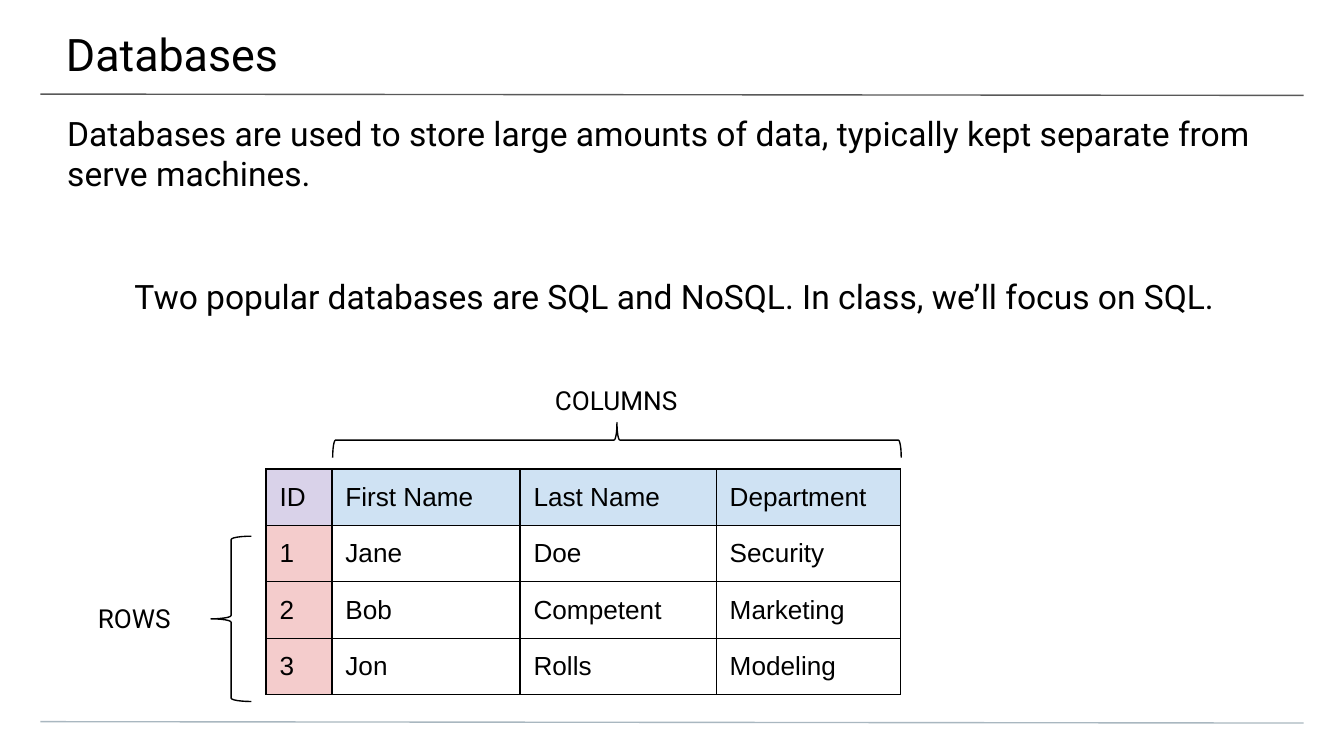
"""Build the Databases slide on a grid of tenth-inch columns and rows."""
from dataclasses import dataclass

from lxml.etree import SubElement as Sub
from pptx import Presentation
from pptx.dml.color import RGBColor as Rgb
from pptx.enum.shapes import MSO_CONNECTOR as Conn, MSO_SHAPE as Form
from pptx.enum.text import MSO_ANCHOR as Anchor, MSO_AUTO_SIZE as Fit, PP_ALIGN as Align
from pptx.oxml import parse_xml
from pptx.oxml.ns import nsdecls, qn
from pptx.util import Inches, Pt

INK = {"text": "000000", "rule": "595959", "foot": "A9B7C0",
       "key": "D9D2E9", "head": "CFE2F3", "side": "F4CCCC"}
THIN = 0.75
WIDE, HIGH = 100, 56.25
COLS = (4.9, 14, 14.6, 13.7)
ROW = 4.2
DATA = (("ID", "First Name", "Last Name", "Department"),
        ("1", "Jane", "Doe", "Security"),
        ("2", "Bob", "Competent", "Marketing"),
        ("3", "Jon", "Rolls", "Modeling"))


@dataclass(frozen=True)
class Box:
    """Hold a place in grid units."""
    x: float
    y: float
    w: float
    h: float

    def span(self) -> tuple:
        """Return the place as lengths."""
        return tuple(map(unit, (self.x, self.y, self.w, self.h)))


@dataclass(frozen=True)
class Brace:
    """Pair a brace with its label."""
    text: str
    box: Box
    label: Box
    turn: int = 0
    align: Align = Align.LEFT


BRACES = (Brace("ROWS", Box(15.7, 39.9, 3, 12.3), Box(6.3, 43.1, 8.3, 5.8)),
          Brace("COLUMNS", Box(44.6, 11.6, 2.6, 42.3), Box(35.3, 26.9, 21.1, 5.8),
                90, Align.CENTER))


def unit(n: float) -> int:
    """Turn grid units into a length."""
    return Inches(n / 10)


def color(name: str) -> Rgb:
    """Look up a named colour."""
    return Rgb.from_string(INK[name])


def write(frame, text: str, *, size: float = 14, face: str = "Roboto",
          align: Align = Align.LEFT, anchor: Anchor = Anchor.TOP,
          pad: tuple = (1, 1, 1, 1), indent: float = 0) -> None:
    """Put one formatted paragraph in a text frame."""
    frame.word_wrap, frame.auto_size = True, Fit.NONE
    frame.vertical_anchor = anchor
    (frame.margin_left, frame.margin_top,
     frame.margin_right, frame.margin_bottom) = map(unit, pad)
    para = frame.paragraphs[0]
    para.text = text
    props = para._p.get_or_add_pPr()
    props.set("marL", str(unit(indent)))
    props.set("indent", "0")
    Sub(props, qn("a:buNone"))
    para.alignment, para.space_before = align, Pt(0)
    font = para.runs[0].font
    font.name, font.size = face, Pt(size)
    font.color.rgb = color("text")


def place(shape, box: Box) -> None:
    """Move a shape to a box."""
    shape.left, shape.top, shape.width, shape.height = box.span()


def rule(slide, y: float, ink: str) -> None:
    """Draw a line across the slide."""
    line = slide.shapes.add_connector(
        Conn.STRAIGHT, unit(3), unit(y), unit(WIDE - 3), unit(y + 0.1))
    line.line.color.rgb, line.line.width = color(ink), Pt(THIN)
    Sub(line._element.spPr, qn("a:effectLst"))


def brace(slide, item: Brace) -> None:
    """Draw a brace and its label."""
    shape = slide.shapes.add_shape(Form.LEFT_BRACE, *item.box.span())
    shape.shadow.inherit = False
    shape.fill.background()
    shape.line.color.rgb, shape.line.width = color("text"), Pt(THIN)
    shape.rotation = item.turn
    label = slide.shapes.add_textbox(*item.label.span())
    write(label.text_frame, item.text, align=item.align, anchor=Anchor.MIDDLE)


def edge(cell) -> None:
    """Frame a cell with thin lines."""
    props = cell._tc.get_or_add_tcPr()
    for at, side in enumerate("LRTB"):
        props.insert(at, parse_xml(
            f'<a:ln{side} {nsdecls("a")} w="{Pt(THIN)}"><a:solidFill>'
            f'<a:srgbClr val="{INK["text"]}"/></a:solidFill></a:ln{side}>'))


def table(slide, x: float, y: float) -> None:
    """Draw the sample table."""
    box = Box(x, y, sum(COLS), ROW * len(DATA))
    grid = slide.shapes.add_table(len(DATA), len(COLS), *box.span()).table
    grid.first_row = grid.horz_banding = False
    for col, wide in zip(grid.columns, COLS):
        col.width = unit(wide)
    for r, row in enumerate(DATA):
        grid.rows[r].height = unit(ROW)
        for c, text in enumerate(row):
            cell = grid.cell(r, c)
            write_cell(cell, text)
            ink = ("head" if c else "key") if r == 0 else ("" if c else "side")
            if ink:
                cell.fill.solid()
                cell.fill.fore_color.rgb = color(ink)
            else:
                cell.fill.background()
            edge(cell)


def write_cell(cell, text: str) -> None:
    """Fill a cell with text and even margins."""
    write(cell.text_frame, text, face="Arial")
    cell.margin_left = cell.margin_right = unit(1)
    cell.margin_top = cell.margin_bottom = unit(1)
    cell.vertical_anchor = Anchor.TOP


def main() -> None:
    """Build and save the slide."""
    deck = Presentation()
    deck.slide_width, deck.slide_height = unit(WIDE), unit(HIGH)
    slide = deck.slides.add_slide(deck.slide_layouts[3])
    rule(slide, 7, "rule")
    rule(slide, 53.7, "foot")
    title, lead, body = slide.placeholders
    place(title, Box(-0.1, 0, 100.3, 5.8))
    write(title.text_frame, "Databases", size=24, pad=(5, 2, 3, 1))
    place(lead, Box(0, 7.4, WIDE, 4))
    write(lead.text_frame, "Databases are used to store large amounts of data, "
          "typically kept separate from serve machines.", size=18, pad=(5, 1, 5, 0))
    place(body, Box(0, 16.4, WIDE, 37.4))
    write(body.text_frame, "Two popular databases are SQL and NoSQL. "
          "In class, we’ll focus on SQL.", size=18, pad=(5, 4.1, 5, 10), indent=5)
    table(slide, 19.8, 34.9)
    for item in BRACES:
        brace(slide, item)
    deck.save("out.pptx")


if __name__ == "__main__":
    main()
